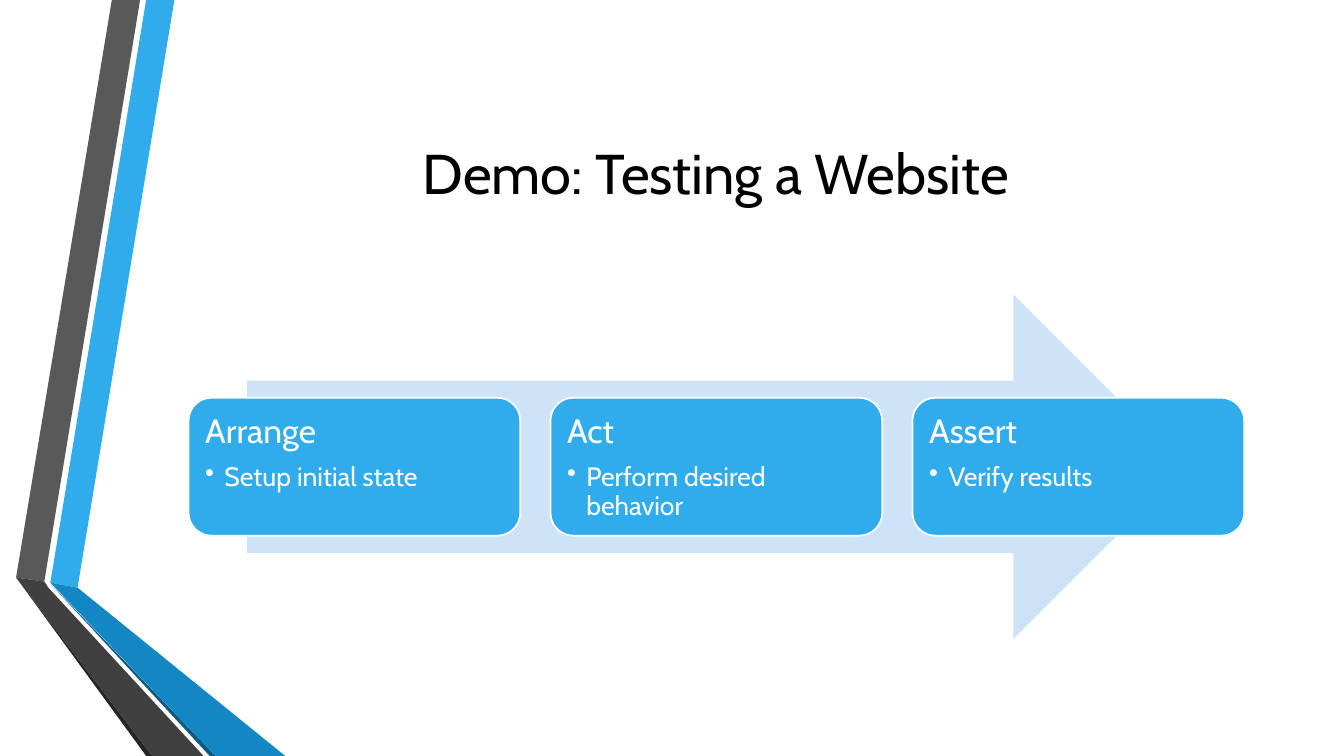
"""Builds a slide that shows the three steps of testing a website."""
from lxml.etree import SubElement
from pptx import Presentation
from pptx.dml.color import RGBColor
from pptx.enum.shapes import MSO_SHAPE as Shape
from pptx.enum.text import MSO_ANCHOR as Anchor, PP_ALIGN as Align
from pptx.oxml.ns import qn
from pptx.util import Inches, Pt

FONT = "Cabin"
BLACK = RGBColor(0x00, 0x00, 0x00)
WHITE = RGBColor(0xFF, 0xFF, 0xFF)
BLUE = RGBColor(0x30, 0xAC, 0xEC)
PALE_BLUE = RGBColor(0xCD, 0xE3, 0xF8)
MID_BLUE = RGBColor(0x12, 0x87, 0xC3)
DEEP_BLUE = RGBColor(0x0C, 0x5A, 0x82)
GREY = RGBColor(0x59, 0x59, 0x59)
DARK_GREY = RGBColor(0x40, 0x40, 0x40)
CHARCOAL = RGBColor(0x26, 0x26, 0x26)

RIBBONS = [
    (BLUE, [(0.5, 5.78), (0.77, 5.83), (1.73, 0), (1.45, 0)]),
    (GREY, [(1.39, 0), (1.11, 0), (0.16, 5.73), (0.44, 5.77)]),
    (CHARCOAL, [(0.16, 5.73), (1.45, 7.5), (1.51, 7.5)]),
    (DEEP_BLUE, [(0.5, 5.79), (2.08, 7.5), (2.14, 7.5)]),
    (MID_BLUE, [(0.5, 5.78), (2.14, 7.5), (2.83, 7.5), (0.77, 5.83)]),
    (DARK_GREY, [(2.02, 7.5), (0.48, 5.83), (0.44, 5.77), (0.16, 5.73), (1.51, 7.5)]),
]
STEPS = [
    ("Arrange", "Setup initial state"),
    ("Act", "Perform desired behavior"),
    ("Assert", "Verify results"),
]


def paint(shape, fill, outline=None):
    """Give a shape a flat fill and an optional outline."""
    shape.shadow.inherit = False
    shape.fill.solid()
    shape.fill.fore_color.rgb = fill
    if outline is None:
        shape.line.fill.background()
    else:
        shape.line.color.rgb = outline
        shape.line.width = Pt(1.25)


def write(paragraph, text, *, size, color, align=Align.LEFT, spacing=None, after=0, bullet=False):
    """Write text into a paragraph with the given format."""
    paragraph.alignment = align
    paragraph.line_spacing = spacing
    paragraph.space_after = Pt(after)
    run = paragraph.add_run()
    run.text = text
    run.font.name = FONT
    run.font.size = Pt(size)
    run.font.color.rgb = color
    if bullet:
        properties = paragraph._p.get_or_add_pPr()
        properties.set("marL", str(Inches(0.19)))
        properties.set("indent", str(Inches(-0.19)))
        SubElement(properties, qn("a:buChar")).set("char", "•")


def add_ribbons(slide, left, top):
    """Draw the folded ribbons down the side of the slide."""
    for color, outline in RIBBONS:
        corners = [(Inches(left + x), Inches(top + y)) for x, y in outline]
        builder = slide.shapes.build_freeform(*corners[0])
        builder.add_line_segments(corners[1:], close=True)
        paint(builder.convert_to_shape(), color)


def add_title(slide, left, top, width, height):
    """Place the title in the middle of its box."""
    title = slide.shapes.add_textbox(*map(Inches, (left, top, width, height)))
    frame = title.text_frame
    frame.word_wrap = True
    frame.vertical_anchor = Anchor.MIDDLE
    write(frame.paragraphs[0], "Demo: Testing a Website", size=40, color=BLACK, align=Align.CENTER)


def add_step(slide, left, top, width, height, name, detail):
    """Draw one step card with its name and bullet."""
    card = slide.shapes.add_shape(
        Shape.ROUNDED_RECTANGLE, *map(Inches, (left, top, width, height)))
    paint(card, BLUE, outline=WHITE)
    frame = card.text_frame
    frame.word_wrap = True
    frame.vertical_anchor = Anchor.TOP
    frame.margin_left = frame.margin_right = Inches(0.1)
    frame.margin_top = frame.margin_bottom = Inches(0.1)
    write(frame.paragraphs[0], name, size=24, color=WHITE, spacing=0.9, after=9)
    write(frame.add_paragraph(), detail, size=19, color=WHITE, spacing=0.9, after=3, bullet=True)


def add_process(slide, left, top, width, height):
    """Draw the arrow and spread the step cards across it."""
    inset = 0.58
    arrow = slide.shapes.add_shape(
        Shape.RIGHT_ARROW,
        *map(Inches, (left + inset, top, width - 2 * inset, height)))
    paint(arrow, PALE_BLUE)
    card_width, card_height = 3.29, 0.4 * height
    pitch = (width - card_width) / (len(STEPS) - 1)
    card_top = top + (height - card_height) / 2
    for index, (name, detail) in enumerate(STEPS):
        add_step(slide, left + index * pitch, card_top, card_width, card_height, name, detail)


def main():
    """Build the slide and save it."""
    deck = Presentation()
    deck.slide_width, deck.slide_height = Inches(13.33), Inches(7.5)
    slide = deck.slides.add_slide(deck.slide_layouts[6])
    add_ribbons(slide, 0, 0)
    add_title(slide, 1.62, 0.75, 10.96, 1.92)
    add_process(slide, 1.87, 2.92, 10.47, 3.42)
    deck.save("out.pptx")


if __name__ == "__main__":
    main()
